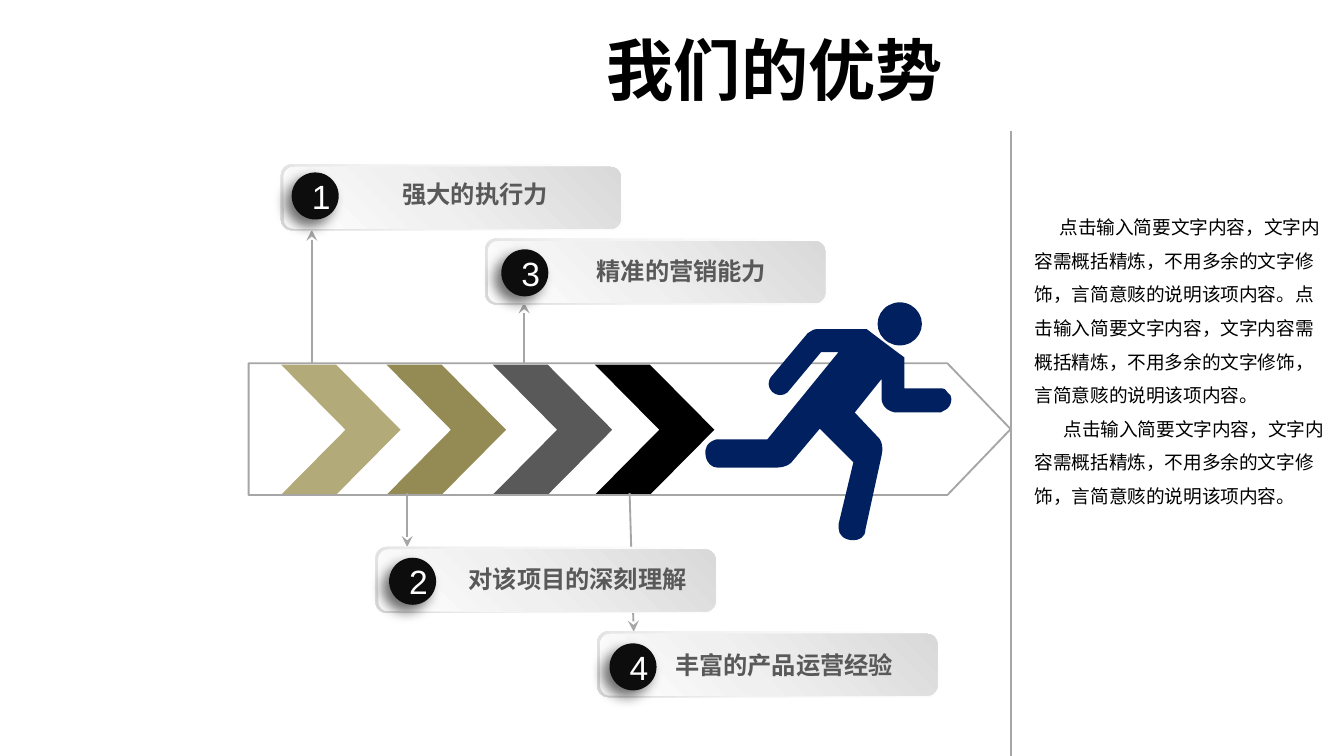
"""Build a slide of four advantages along an arrow with a running figure."""
from dataclasses import dataclass
from typing import Any

import lxml.etree
import pptx
import pptx.dml.color
import pptx.enum.shapes
import pptx.enum.text
import pptx.oxml
import pptx.oxml.ns
import pptx.util

RGBColor = pptx.dml.color.RGBColor
Preset = pptx.enum.shapes.MSO_SHAPE
qn = pptx.oxml.ns.qn
NAMESPACE = pptx.oxml.ns.nsdecls("a")

BLACK = RGBColor(0x00, 0x00, 0x00)
WHITE = RGBColor(0xFF, 0xFF, 0xFF)
INK = RGBColor(0x0D, 0x0D, 0x0D)
GRAPHITE = RGBColor(0x59, 0x59, 0x59)
RULE_GRAY = RGBColor(0xA6, 0xA6, 0xA6)
SILVER = RGBColor(0xD9, 0xD9, 0xD9)
MIST = RGBColor(0xF2, 0xF2, 0xF2)
PEARL = RGBColor(0xF0, 0xF0, 0xF0)
SAND = RGBColor(0xB3, 0xAA, 0x7A)
OLIVE = RGBColor(0x94, 0x8A, 0x54)
NAVY = RGBColor(0x00, 0x20, 0x60)

FONT = "Arial"
SLIDE_WIDTH = pptx.util.Inches(10)
COLUMNS, ROWS = 100, 56.25
CELL = SLIDE_WIDTH / COLUMNS


@dataclass(frozen=True)
class Box:
    left: float
    top: float
    width: float
    height: float


@dataclass(frozen=True)
class Line:
    start: tuple[float, float]
    end: tuple[float, float]
    arrow: bool = True


@dataclass(frozen=True)
class Advantage:
    number: str
    text: str
    left: float
    top: float
    badge: tuple[float, float]
    text_left: float
    text_width: float


CHEVRONS = ((20.9, SAND), (28.75, OLIVE), (36.65, GRAPHITE), (44.25, BLACK))
LINES = (
    Line((75.2, 9.75), (75.2, ROWS), arrow=False),
    Line((39, 22.5), (39, 27)),
    Line((23.2, 17.1), (23.2, 27.1)),
    Line((47.15, 47), (46.85, 36.7)),
    Line((30.3, 40.7), (30.3, 36.7)),
)
ADVANTAGES = (
    Advantage("1", "强大的执行力", 20.9, 12.23, (0.8, 0.6), 24.55, 21.6),
    Advantage("2", "对该项目的深刻理解", 27.95, 40.7, (1, 0.8), 32.83, 20.3),
    Advantage("3", "精准的营销能力", 36.1, 17.75, (1.2, 0.8), 40.3, 20.8),
    Advantage("4", "丰富的产品运营经验", 44.45, 46.97, (0.9, 0.9), 47.53, 21.6),
)
SENTENCE = "点击输入简要文字内容，文字内容需概括精炼，不用多余的文字修饰，言简意赅的说明该项内容。"
PARAGRAPHS = ((SENTENCE * 2, 1.85), (SENTENCE, 2.15))
RUNNER = (
    (53.3, 32.7), (53.3, 32.7, 53.4, 32.7, 53.5, 32.7), (57.1, 32.7), (62.4, 26.2),
    (61.1, 26.2), (58.6, 29.2), (58.5, 29.3, 58.3, 29.4, 58, 29.4),
    (57.6, 29.4, 57.2, 29, 57.2, 28.6), (57.2, 28.3, 57.3, 28.1, 57.5, 27.9),
    (60.1, 24.8), (60.3, 24.7, 60.5, 24.5, 60.7, 24.5), (64.5, 24.5),
    (64.5, 24.5, 67, 26.4, 67.3, 26.6), (67.3, 28.9), (70, 28.9),
    (70.3, 28.9, 70.4, 29, 70.5, 29.2), (70.9, 29.4, 70.9, 30, 70.5, 30.4),
    (70.4, 30.5, 70.3, 30.5, 70, 30.7), (66.6, 30.7),
    (65.6, 30.5, 65.6, 29.7, 65.6, 29.7), (65.6, 28.2), (63.6, 30.7),
    (65.4, 32.6), (65.4, 32.6, 65.8, 33, 65.6, 33.9), (64.4, 39.4),
    (64.4, 40, 63.9, 40.2, 63.5, 40.2), (62.8, 40.2, 62.4, 39.8, 62.4, 39.3),
    (62.4, 39.1, 62.4, 39, 62.4, 39), (63.5, 34.4), (61, 31.9), (58.9, 34.4),
    (58.9, 34.4, 58.6, 34.8, 57.7, 34.8), (53.4, 34.8),
    (53, 34.8, 52.6, 34.5, 52.5, 33.9), (52.4, 33.4, 52.6, 32.9, 53.3, 32.7),
)


def length(cells: float) -> int:
    return round(cells * CELL)


def frame(box: Box) -> tuple[int, ...]:
    return tuple(map(length, (box.left, box.top, box.width, box.height)))


def paint(shape: Any, color: Any) -> None:
    shape.shadow.inherit = False
    shape.line.fill.background()
    shape.fill.solid()
    shape.fill.fore_color.rgb = color


def add_preset(shapes: Any, preset: Any, box: Box, color: Any = WHITE) -> Any:
    shape = shapes.add_shape(preset, *frame(box))
    paint(shape, color)
    return shape


def add_run(paragraph: Any, text: str, size: float, color: Any, bold: bool = False) -> None:
    run = paragraph.add_run()
    run.text = text
    run.font.name, run.font.size, run.font.bold = FONT, pptx.util.Pt(size), bold
    run.font.color.rgb = color


def add_text_frame(shapes: Any, box: Box) -> Any:
    text_frame = shapes.add_textbox(*frame(box)).text_frame
    text_frame.word_wrap = True
    text_frame.auto_size = pptx.enum.text.MSO_AUTO_SIZE.SHAPE_TO_FIT_TEXT
    return text_frame


def add_heading(shapes: Any, box: Box, text: str, size: float, color: Any) -> None:
    text_frame = add_text_frame(shapes, box)
    text_frame.margin_left = text_frame.margin_right = 0
    text_frame.margin_top = text_frame.margin_bottom = 0
    text_frame.paragraphs[0].alignment = pptx.enum.text.PP_ALIGN.CENTER
    add_run(text_frame.paragraphs[0], text, size, color, bold=True)


def add_line(shapes: Any, line: Line) -> None:
    connector = shapes.add_connector(
        pptx.enum.shapes.MSO_CONNECTOR.STRAIGHT, *map(length, line.start + line.end))
    connector.line.color.rgb = RULE_GRAY
    connector.line.width = pptx.util.Pt(1)
    properties = connector._element.spPr
    if line.arrow:
        lxml.etree.SubElement(properties.find(qn("a:ln")), qn("a:headEnd"), type="stealth")
    lxml.etree.SubElement(properties, qn("a:effectLst"))


def add_plate(shapes: Any, box: Box, middle: tuple[int, Any], angle: int) -> None:
    properties = add_preset(shapes, Preset.ROUNDED_RECTANGLE, box)._element.spPr
    stops = "".join(
        f'<a:gs pos="{position * 1000}"><a:srgbClr val="{color}"/></a:gs>'
        for position, color in ((0, WHITE), middle, (100, SILVER)))
    properties.replace(properties.find(qn("a:solidFill")), pptx.oxml.parse_xml(
        f'<a:gradFill {NAMESPACE} rotWithShape="1"><a:gsLst>{stops}</a:gsLst>'
        f'<a:lin ang="{angle * 60000}" scaled="0"/></a:gradFill>'))


def add_badge(shapes: Any, box: Box, number: str) -> None:
    shape = add_preset(shapes, Preset.OVAL, box, INK)
    shape._element.spPr.find(qn("a:effectLst")).append(pptx.oxml.parse_xml(
        f'<a:outerShdw {NAMESPACE} blurRad="{pptx.util.Pt(7)}" dist="{pptx.util.Pt(5)}" '
        f'dir="{135 * 60000}" algn="tr" rotWithShape="0"><a:srgbClr val="{BLACK}">'
        '<a:alpha val="57000"/></a:srgbClr></a:outerShdw>'))
    shape.text_frame.vertical_anchor = pptx.enum.text.MSO_ANCHOR.MIDDLE
    add_run(shape.text_frame.paragraphs[0], number, 18, WHITE)


def add_advantage(shapes: Any, item: Advantage) -> None:
    group = shapes.add_group_shape().shapes
    add_plate(group, Box(item.left, item.top, 25.5, 4.9), (62, MIST), 135)
    add_plate(group, Box(item.left + 0.2, item.top + 0.2, 25.1, 4.6), (42, PEARL), 315)
    badge_top = item.top + item.badge[1]
    add_badge(group, Box(item.left + item.badge[0], badge_top, 3.5, 3.5), item.number)
    text_box = Box(item.text_left, badge_top + 0.5, item.text_width, 2.2)
    add_heading(group, text_box, item.text, 13, GRAPHITE)


def add_runner(shapes: Any) -> None:
    group = shapes.add_group_shape().shapes
    add_preset(group, Preset.OVAL, Box(65.3, 22.5, 3.3, 3.2), NAVY)
    corners = [tuple(map(length, segment[-2:])) for segment in RUNNER]
    builder = group.build_freeform(*corners[0])
    builder.add_line_segments(corners[1:])
    body = builder.convert_to_shape()
    paint(body, NAVY)
    origin = [min(corner[axis] for corner in corners) for axis in (0, 1)]
    edges = list(body._element.iter(qn("a:lnTo")))
    for edge, segment in zip(edges, RUNNER[1:]):
        if len(segment) == 6:
            curve = lxml.etree.Element(qn("a:cubicBezTo"))
            for x, y in zip(segment[::2], segment[1::2]):
                lxml.etree.SubElement(curve, qn("a:pt"), x=str(length(x) - origin[0]),
                                      y=str(length(y) - origin[1]))
            edge.getparent().replace(edge, curve)


def add_description(shapes: Any) -> None:
    text_frame = add_text_frame(shapes, Box(76, 14.73, 23.6, 23.7))
    for index, (text, indent) in enumerate(PARAGRAPHS):
        paragraph = text_frame.add_paragraph() if index else text_frame.paragraphs[0]
        paragraph.line_spacing = 1.5
        paragraph._p.get_or_add_pPr().set("indent", str(length(indent)))
        add_run(paragraph, text, 10, BLACK)


def main() -> None:
    presentation = pptx.Presentation()
    presentation.slide_width, presentation.slide_height = SLIDE_WIDTH, length(ROWS)
    shapes = presentation.slides.add_slide(presentation.slide_layouts[6]).shapes
    for left, color in CHEVRONS:
        add_preset(shapes, Preset.CHEVRON, Box(left, 27.13, 8.9, 9.7), color).adjustments[0] = 0.54
    for line in LINES:
        add_line(shapes, line)
    arrow = add_preset(shapes, Preset.PENTAGON, Box(18.5, 27.03, 56.7, 9.8))
    arrow.adjustments[0] = 0.48
    arrow.fill.background()
    arrow.line.color.rgb = RULE_GRAY
    arrow.line.width = pptx.util.Pt(1)
    add_heading(shapes, Box(40.85, 2.1, 33.6, 6.1), "我们的优势", 36, BLACK)
    add_description(shapes)
    for item in ADVANTAGES:
        add_advantage(shapes, item)
    add_runner(shapes)
    presentation.save("out.pptx")


if __name__ == "__main__":
    main()
